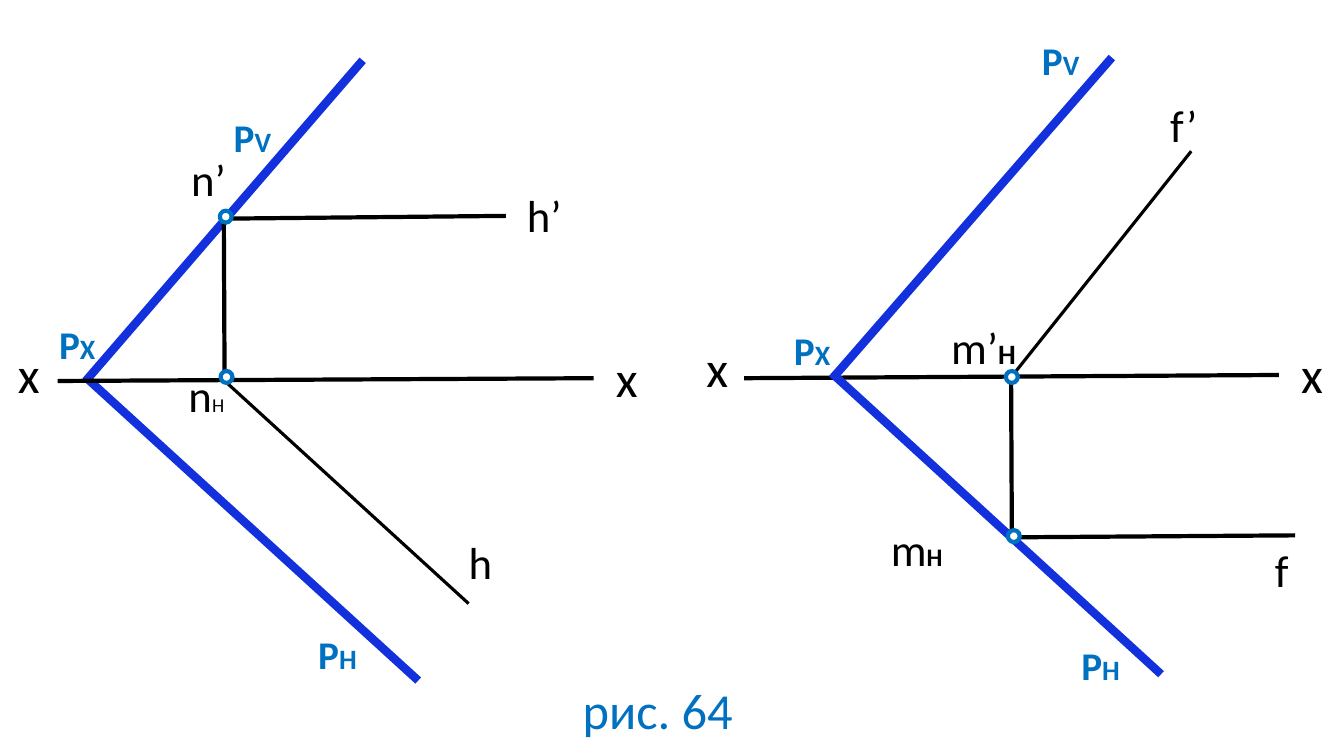
from dataclasses import dataclass
from typing import NamedTuple

from lxml import etree
from pptx import Presentation
from pptx.dml.color import RGBColor
from pptx.enum.shapes import MSO_CONNECTOR, MSO_SHAPE
from pptx.enum.text import MSO_ANCHOR, MSO_AUTO_SIZE, PP_ALIGN
from pptx.oxml.ns import qn
from pptx.util import Cm, Pt

STRAIGHT = MSO_CONNECTOR.STRAIGHT
OVAL = MSO_SHAPE.OVAL
TOP = MSO_ANCHOR.TOP
NO_FIT = MSO_AUTO_SIZE.NONE
LEFT = PP_ALIGN.LEFT
TITLE_ONLY = 5


@dataclass(frozen=True)
class Theme:
    font: str = "Calibri"
    black: str = "000000"
    white: str = "FFFFFF"
    trace: str = "1330DD"
    accent: str = "0070C0"
    caption_size: int = 36
    axis_size: int = 36
    line_size: int = 32
    plane_size: int = 28
    index_size: int = 20
    thin: float = 2.25
    medium: float = 3
    thick: float = 6


THEME = Theme()


class Line(NamedTuple):
    x1: float
    y1: float
    x2: float
    y2: float
    width: float = THEME.medium
    color: str = THEME.black


class Point(NamedTuple):
    left: float
    top: float


class Label(NamedTuple):
    text: str
    left: float
    top: float
    width: float
    height: float = 1.63
    size: int = THEME.line_size
    color: str = THEME.black
    bold: bool = False
    index: str = ""
    index_size: int = THEME.index_size
    index_bold: bool = True


def trace(x1: float, y1: float, x2: float, y2: float) -> Line:
    return Line(x1, y1, x2, y2, THEME.thick, THEME.trace)


def plane(index: str, left: float, top: float) -> Label:
    return Label("P", left, top, 2.26, 1.45, THEME.plane_size, THEME.accent, True, index)


def axis(left: float, top: float, width: float) -> Label:
    return Label("x", left, top, width, 1.8, THEME.axis_size)


LINES = [
    # Left drawing: horizontal line h in plane P
    Line(5.61, 5.51, 12.75, 5.44),
    trace(9.14, 1.52, 2.16, 9.6),
    trace(10.54, 17.15, 2.21, 9.55),
    Line(5.66, 9.65, 5.64, 5.51),
    Line(11.81, 15.21, 5.61, 9.55, THEME.thin),
    Line(1.45, 9.6, 14.96, 9.53),
    # Right drawing: frontal line f in plane P
    Line(25.48, 13.54, 32.64, 13.49),
    Line(18.75, 9.53, 32.23, 9.45),
    trace(28.02, 1.45, 21.01, 9.5),
    trace(29.26, 16.99, 20.96, 9.4),
    Line(25.5, 13.56, 25.48, 9.42),
    Line(30.02, 3.81, 25.55, 9.42, THEME.thin),
]

POINT_SIZE = 0.3
POINTS = [Point(5.54, 5.31), Point(5.56, 9.35), Point(25.35, 9.35), Point(25.4, 13.36)]

LABELS = [
    # Left drawing
    plane("V", 5.64, 2.72),
    plane("X", 1.24, 7.95),
    plane("H", 7.77, 15.75),
    Label("n’", 4.57, 3.71, 1.85),
    Label("h’", 13.03, 4.6, 1.85),
    Label("h", 11.56, 13.36, 1.85),
    Label("n", 4.5, 9.14, 2.26, index="H", index_size=14, index_bold=False),
    axis(0.2, 8.53, 0.99),
    axis(15.27, 8.61, 1.09),
    # Right drawing
    plane("V", 26.01, 0.79),
    plane("X", 19.76, 8.1),
    plane("H", 27, 16.03),
    Label("f’", 29.24, 2.34, 1.65),
    Label("f", 31.88, 13.54, 1.32),
    Label("m’", 23.72, 7.92, 2.26, index="H"),
    Label("m", 22.2, 13.03, 2.26, index="H", index_size=18),
    axis(17.55, 8.38, 0.99),
    axis(32.54, 8.53, 1.09),
]


def add_text(p, text: str, *, size: int, color: str = THEME.black, bold: bool = False) -> None:
    r = p.add_run()
    r.text = text
    r.font.name = THEME.font
    r.font.size = Pt(size)
    r.font.bold = bold
    r.font.color.rgb = RGBColor.from_string(color)


def draw_line(s, line: Line) -> None:
    cx = s.shapes.add_connector(
        STRAIGHT, Cm(line.x1), Cm(line.y1), Cm(line.x2), Cm(line.y2))
    cx.line.width = Pt(line.width)
    cx.line.color.rgb = RGBColor.from_string(line.color)
    etree.SubElement(cx._element.spPr, qn("a:effectLst"))


def draw_point(s, point: Point) -> None:
    sp = s.shapes.add_shape(
        OVAL, Cm(point.left), Cm(point.top), Cm(POINT_SIZE), Cm(POINT_SIZE))
    sp.shadow.inherit = False
    sp.fill.solid()
    sp.fill.fore_color.rgb = RGBColor.from_string(THEME.white)
    sp.line.color.rgb = RGBColor.from_string(THEME.accent)
    sp.line.width = Pt(THEME.medium)


def draw_label(s, label: Label) -> None:
    sp = s.shapes.add_textbox(
        Cm(label.left), Cm(label.top), Cm(label.width), Cm(label.height))
    tf = sp.text_frame
    tf.word_wrap = True
    p = tf.paragraphs[0]
    add_text(p, label.text, size=label.size, color=label.color, bold=label.bold)
    if label.index:
        add_text(p, label.index, size=label.index_size, color=label.color,
                 bold=label.index_bold)


def draw_caption(s, text: str) -> None:
    sp = s.shapes.title
    sp.left, sp.top, sp.width, sp.height = Cm(14.43), Cm(16.99), Cm(4.34), Cm(1.8)
    tf = sp.text_frame
    tf.word_wrap = False
    tf.auto_size = NO_FIT
    tf.vertical_anchor = TOP
    p = tf.paragraphs[0]
    p.alignment = LEFT
    add_text(p, text, size=THEME.caption_size, color=THEME.accent)


def main() -> None:
    prs = Presentation()
    prs.slide_width, prs.slide_height = Cm(33.87), Cm(19.05)
    s = prs.slides.add_slide(prs.slide_layouts[TITLE_ONLY])
    draw_caption(s, "рис. 64")
    for line in LINES:
        draw_line(s, line)
    for point in POINTS:
        draw_point(s, point)
    for label in LABELS:
        draw_label(s, label)
    prs.save("out.pptx")


if __name__ == "__main__":
    main()
